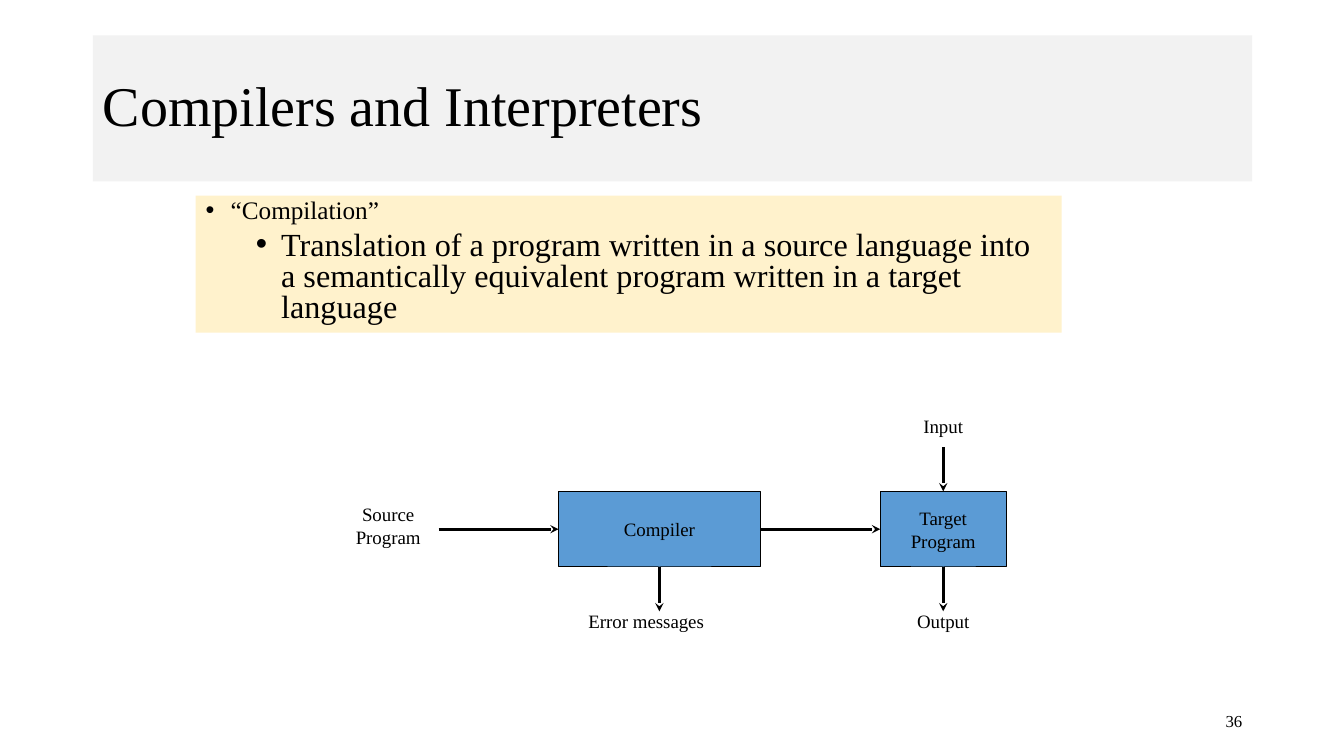
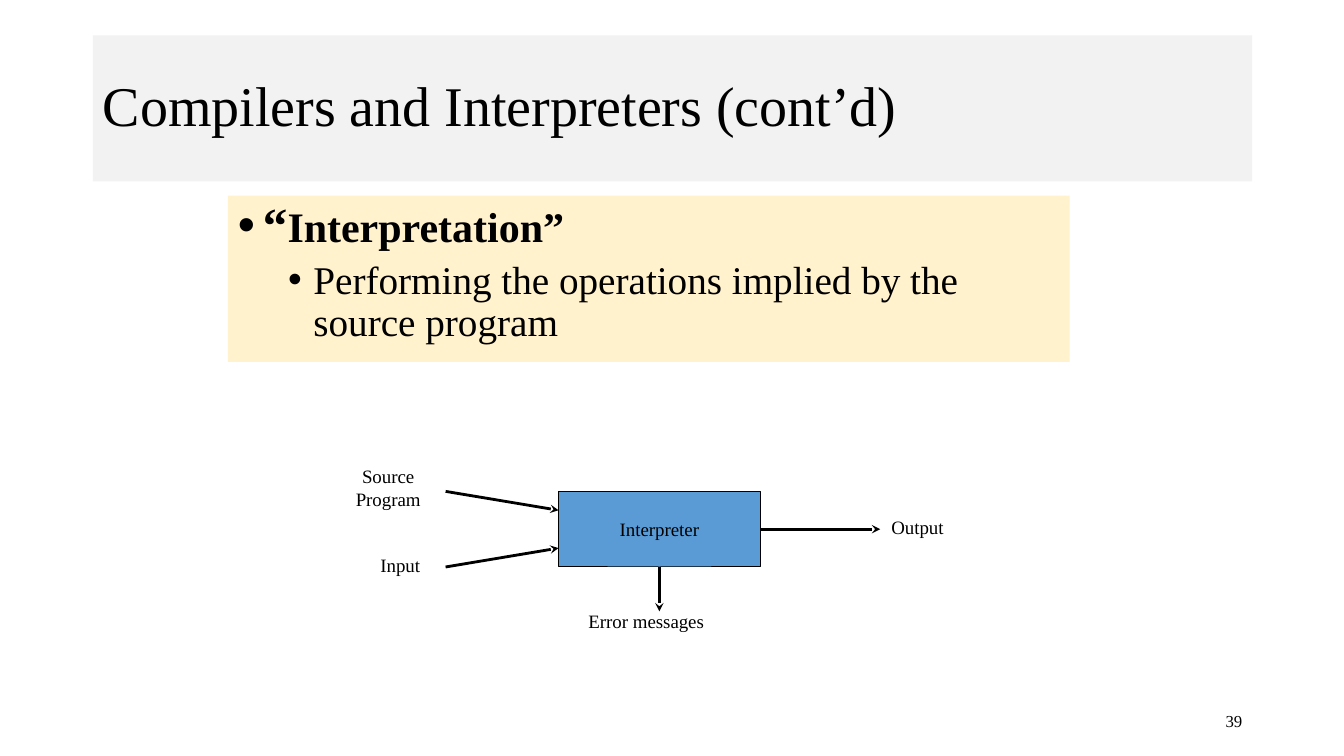
import pptx
import pptx.util
import pptx.dml.color
import pptx.enum.shapes
import pptx.enum.text
import pptx.oxml
import pptx.oxml.ns
import lxml.etree

# Shared look
FONT = "Times New Roman"
BLACK, BAND, PANEL, BLUE = "000000", "F2F2F2", "FFF2CC", "5B9BD5"
WIDTH, HEIGHT = 13.33, 7.5
LABEL_SIZE, LABEL_LINE = 13.5, 0.23

# Diagram grid: one middle row, one main column, equal arrow lengths
MID = 5.25
BOX_H = 0.75
TOP, BOTTOM = MID - BOX_H / 2, MID + BOX_H / 2
DROP, REACH = 0.44, 1.19
MAIN_X, MAIN_W, TARGET_W = 6.54, 2, 1.25
LEFT, RIGHT = MAIN_X - MAIN_W / 2, MAIN_X + MAIN_W / 2
TARGET_X = RIGHT + REACH + TARGET_W / 2
SOURCE_X = 3.85
LABEL_Y = BOTTOM + DROP + 0.1

Inches, Pt = pptx.util.Inches, pptx.util.Pt
ALIGN, ANCHOR = pptx.enum.text.PP_ALIGN, pptx.enum.text.MSO_ANCHOR


def rgb(value):
    return pptx.dml.color.RGBColor.from_string(value)


def fill(sp, color):
    sp.fill.solid()
    sp.fill.fore_color.rgb = rgb(color)


def style(r, size, bold=False):
    r.font.name, r.font.size, r.font.bold = FONT, Pt(size), bold
    r.font.color.rgb = rgb(BLACK)


def set_text(sp, text, size, align, wrap=True, anchor=ANCHOR.MIDDLE):
    tf = sp.text_frame
    tf.text = text
    tf.word_wrap, tf.vertical_anchor = wrap, anchor
    tf.auto_size = pptx.enum.text.MSO_AUTO_SIZE.NONE
    for p in tf.paragraphs:
        p.alignment = align
        for r in p.runs:
            style(r, size)


def text_box(s, x, y, w, h):
    return s.shapes.add_textbox(Inches(x), Inches(y), Inches(w), Inches(h))


# Slide with its title band and page number
def add_slide(prs, title, number):
    s = prs.slides.add_slide(prs.slide_layouts[5])
    sp = s.shapes.title
    sp.left, sp.top = Inches(0.92), Inches(0.35)
    sp.width, sp.height = Inches(11.5), Inches(1.45)
    fill(sp, BAND)
    set_text(sp, title, 40, ALIGN.LEFT)
    sp.text_frame.paragraphs[0].line_spacing = 0.9
    set_text(text_box(s, 9.42, 6.95, 3, 0.4), number, 12, ALIGN.RIGHT)
    return s


# Bulleted definition; each paragraph is a list of (text, size, bold)
def definition(s, x, w, h, spacing, paragraphs):
    sp = text_box(s, x, 1.94, w, h)
    fill(sp, PANEL)
    tf = sp.text_frame
    tf.word_wrap = True
    for level, runs in enumerate(paragraphs):
        p = tf.add_paragraph() if level else tf.paragraphs[0]
        p.level, p.line_spacing = level, spacing
        p.space_before = Pt(5 * level)
        pPr = p._p.get_or_add_pPr()
        pPr.set("marL", str(Inches(0.25 + 0.5 * level)))
        pPr.set("indent", str(Inches(-0.25)))
        font = lxml.etree.SubElement(pPr, pptx.oxml.ns.qn("a:buFont"))
        font.set("typeface", "Arial")
        bullet = lxml.etree.SubElement(pPr, pptx.oxml.ns.qn("a:buChar"))
        bullet.set("char", "•")
        for text, size, bold in runs:
            r = p.add_run()
            r.text = text
            style(r, size, bold)


# Diagram parts, all placed by their centre
def box(s, text, x, w):
    sp = s.shapes.add_shape(pptx.enum.shapes.MSO_SHAPE.RECTANGLE,
                            Inches(x - w / 2), Inches(TOP),
                            Inches(w), Inches(BOX_H))
    sp.shadow.inherit = False
    fill(sp, BLUE)
    sp.line.color.rgb, sp.line.width = rgb(BLACK), Pt(0.75)
    set_text(sp, text, LABEL_SIZE, ALIGN.CENTER, wrap=False)
    return sp


def label(s, text, x, y, w):
    h = 0.1 + LABEL_LINE * len(text.split("\n"))
    set_text(text_box(s, x - w / 2, y - h / 2, w, h), text, LABEL_SIZE,
             ALIGN.CENTER, wrap=False, anchor=ANCHOR.TOP)


def arrow(s, start, end, leaves=None, enters=None):
    c = s.shapes.add_connector(pptx.enum.shapes.MSO_CONNECTOR.STRAIGHT,
                               *[Inches(v) for v in start + end])
    if leaves:
        c.begin_connect(*leaves)
    if enters:
        c.end_connect(*enters)
    c.line.color.rgb, c.line.width = rgb(BLACK), Pt(2)
    ln = c.line._get_or_add_ln()
    lxml.etree.SubElement(ln, pptx.oxml.ns.qn("a:tailEnd")).set("type", "stealth")
    lxml.etree.SubElement(c._element.spPr, pptx.oxml.ns.qn("a:effectLst"))


def arrow_down(s, sp, x):
    arrow(s, (x, BOTTOM), (x, BOTTOM + DROP), leaves=(sp, 2))


# Main box with its error output, used by both diagrams
def translator(s, text):
    sp = box(s, text, MAIN_X, MAIN_W)
    arrow_down(s, sp, MAIN_X)
    label(s, "Error messages", MAIN_X - 0.13, LABEL_Y, 1.36)
    return sp


def compilation_slide(prs):
    s = add_slide(prs, "Compilers and Interpreters", "36")
    definition(s, 1.94, 8.59, 1.36, 0.8, [
        [("“Compilation”", 18, False)],
        [("Translation of a program written in a source language into a "
          "semantically equivalent program written in a target language",
          23, False)]])
    compiler = translator(s, "Compiler")
    target = box(s, "Target\nProgram", TARGET_X, TARGET_W)
    label(s, "Source\nProgram", SOURCE_X, MID - 0.03, 0.85)
    label(s, "Input", TARGET_X, TOP - DROP - 0.21, 0.6)
    label(s, "Output", TARGET_X, LABEL_Y, 0.73)
    arrow(s, (LEFT - REACH, MID), (LEFT, MID), enters=(compiler, 1))
    arrow(s, (RIGHT, MID), (RIGHT + REACH, MID), (compiler, 3), (target, 1))
    arrow(s, (TARGET_X, TOP - DROP), (TARGET_X, TOP), enters=(target, 0))
    arrow_down(s, target, TARGET_X)


def interpretation_slide(prs):
    s = add_slide(prs, "Compilers and Interpreters (cont’d)", "39")
    definition(s, 2.26, 8.35, 1.65, 0.9, [
        [("“", 35, True), ("Interpretation”", 30, True)],
        [("Performing the operations implied by the source program",
          28, False)]])
    interpreter = translator(s, "Interpreter")
    label(s, "Source\nProgram", SOURCE_X, TOP - 0.03, 0.85)
    label(s, "Input", SOURCE_X + 0.12, BOTTOM - 0.02, 0.6)
    label(s, "Output", RIGHT + REACH + 0.37, MID - 0.02, 0.73)
    for side in (-1, 1):
        arrow(s, (LEFT - 1.12, MID + side * BOX_H / 2),
              (LEFT, MID + side * BOX_H / 4))
    arrow(s, (RIGHT, MID), (RIGHT + REACH, MID), leaves=(interpreter, 3))


def main():
    prs = pptx.Presentation()
    prs.slide_width, prs.slide_height = Inches(WIDTH), Inches(HEIGHT)
    compilation_slide(prs)
    interpretation_slide(prs)
    prs.save("out.pptx")


if __name__ == "__main__":
    main()
